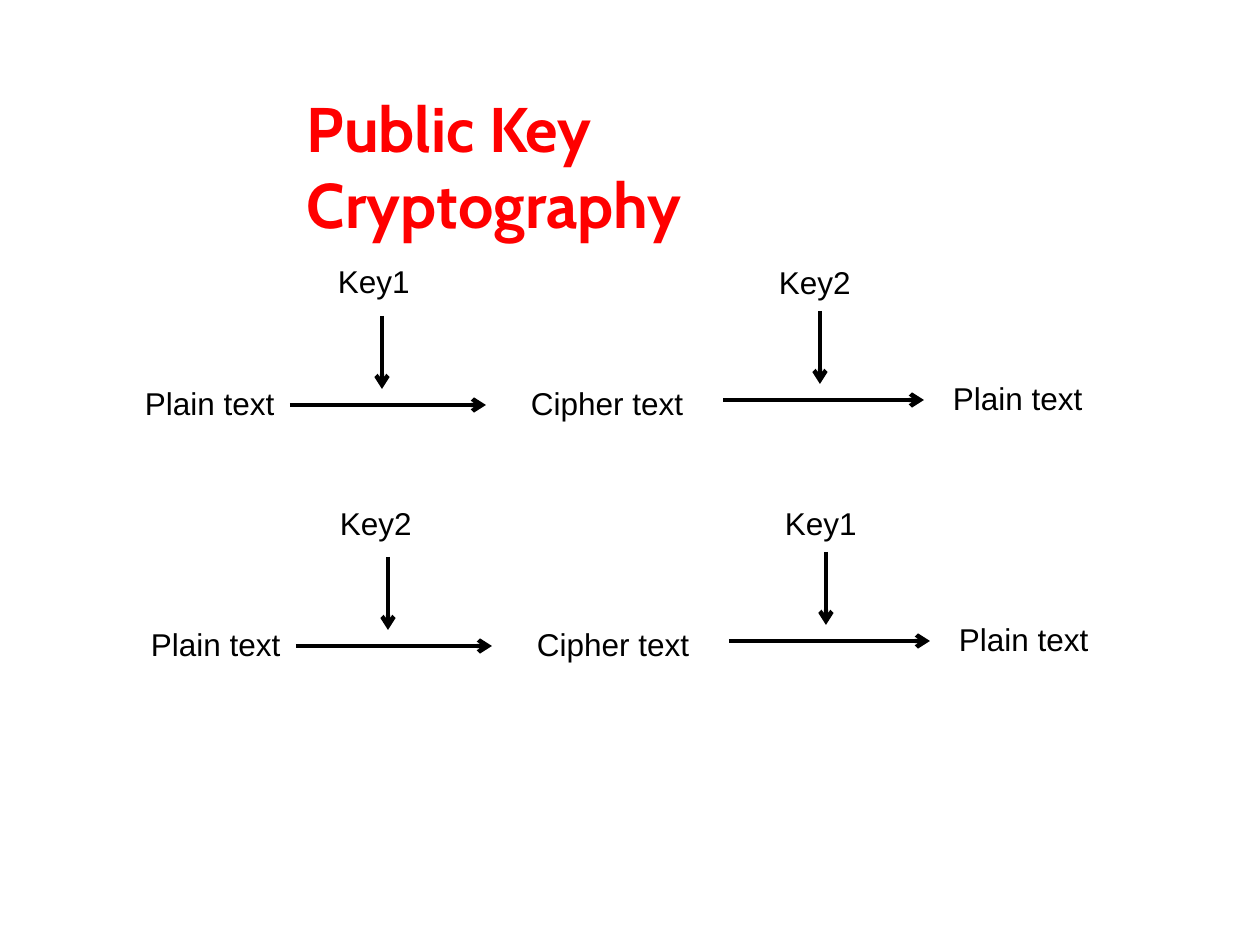
from pptx import Presentation
from pptx.util import Pt
from pptx.dml.color import RGBColor
from pptx.enum.shapes import MSO_CONNECTOR
from pptx.oxml.ns import qn
from lxml.etree import SubElement

PX = 914400 // 126
TITLE = "Public Key Cryptography"
ROWS = [
    (0, 0, [("Key1", 329, 262, 121), ("Key2", 770, 263, 105)]),
    (6, 241, [("Key2", 325, 263, 121), ("Key1", 770, 263, 105)]),
]
WORDS = [
    ("Plain text", 136, 384, 184),
    ("Cipher text", 522, 384, 184),
    ("Plain text", 944, 379, 168),
]
ARROWS = [
    (290, 405, 486, 405),
    (382, 316, 382, 389),
    (723, 400, 924, 400),
    (820, 311, 820, 384),
]


def paint(code):
    return RGBColor.from_string(code)


def write(text, x, y, w, h, size=18, face="Arial", ink="000000", bold=False, pad=(9, 0, 0, 0)):
    box = slide.shapes.add_textbox(x * PX, y * PX, w * PX, h * PX)
    frame = box.text_frame
    frame.word_wrap = True
    (frame.margin_left, frame.margin_top,
     frame.margin_right, frame.margin_bottom) = [n * PX for n in pad]
    run = frame.paragraphs[0].add_run()
    run.text = text
    font = run.font
    font.size, font.name, font.bold = Pt(size), face, bold
    font.color.rgb = paint(ink)


def arrow(*ends):
    link = slide.shapes.add_connector(MSO_CONNECTOR.STRAIGHT, *[n * PX for n in ends])
    link.line.width = Pt(2.5)
    link.line.color.rgb = paint("000000")
    SubElement(link.line._get_or_add_ln(), qn("a:tailEnd"), type="arrow")
    SubElement(link._element.spPr, qn("a:effectLst"))


deck = Presentation()
deck.slide_width, deck.slide_height = 1260 * PX, 945 * PX
slide = deck.slides.add_slide(deck.slide_layouts[6])

write(TITLE, 294, 84, 685, 89, size=36, face="Cabin", ink="FF0000", bold=True, pad=(13, 6, 13, 6))
for dx, dy, keys in ROWS:
    for x1, y1, x2, y2 in ARROWS:
        arrow(x1 + dx, y1 + dy, x2 + dx, y2 + dy)
    for text, x, y, w in WORDS + keys:
        write(text, x + dx, y + dy, w, 38)

deck.save("out.pptx")
